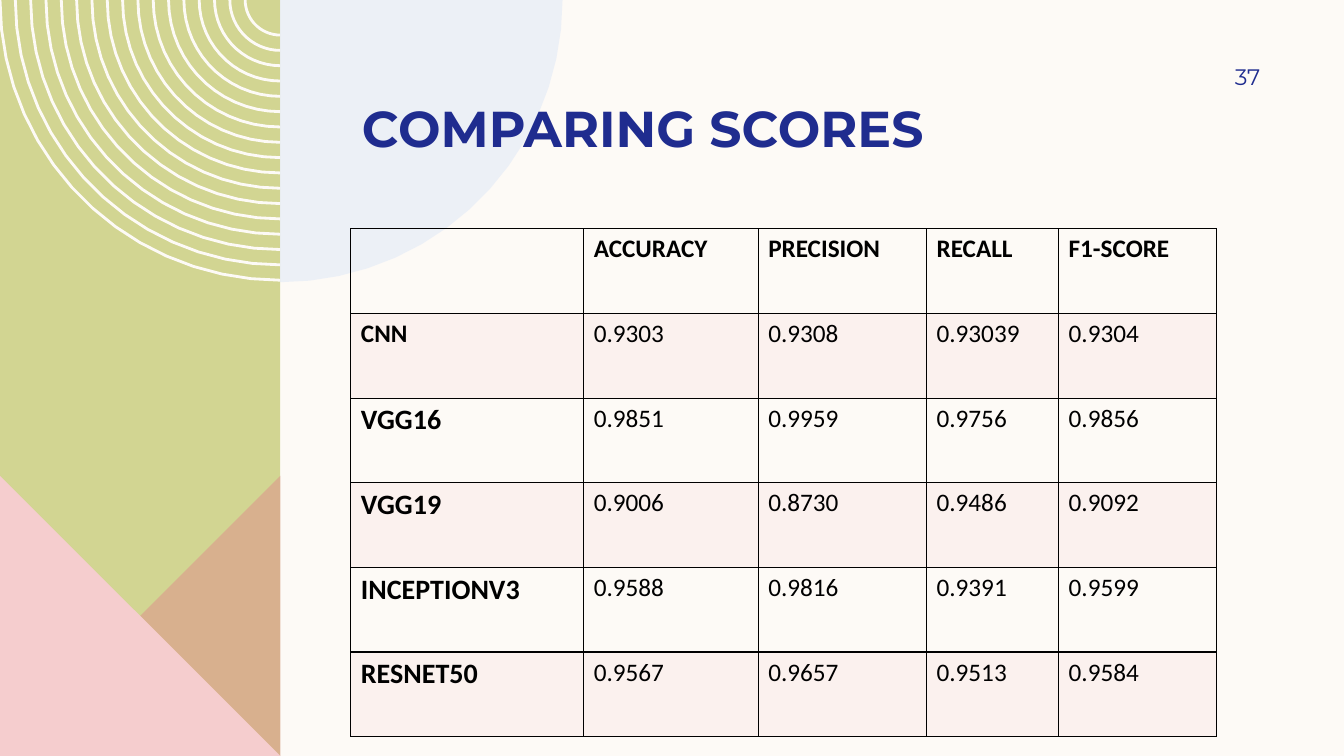
import math

from pptx import Presentation
from pptx.dml.color import RGBColor
from pptx.enum.shapes import MSO_SHAPE
from pptx.enum.text import MSO_ANCHOR, MSO_AUTO_SIZE, PP_ALIGN
from pptx.oxml import parse_xml
from pptx.oxml.ns import nsdecls, qn
from pptx.util import Pt

RECTANGLE = MSO_SHAPE.RECTANGLE
LEFT, RIGHT = PP_ALIGN.LEFT, PP_ALIGN.RIGHT
TOP, MIDDLE, BOTTOM = MSO_ANCHOR.TOP, MSO_ANCHOR.MIDDLE, MSO_ANCHOR.BOTTOM
NO_AUTOFIT = MSO_AUTO_SIZE.NONE

EMU_PER_PX = 9144
SLIDE_WIDTH, SLIDE_HEIGHT = 1333, 750
PANEL_WIDTH = 278
CREAM, GREEN, ROSE, PINK = "FDFAF6", "D2D592", "DE8C8C", "F5CDCE"
PALE_BLUE, NAVY, BLACK = "DDE7F6", "1F2C8F", "000000"

RING_COUNT = 17
RING_RADIUS = 278
RING_STEP = 15.2
ARC_STEP = 6

COLUMN_WIDTHS = [231, 173, 167, 131, 157]
ROW_HEIGHT = 84
SCORES = [
    ["", "ACCURACY", "PRECISION", "RECALL", "F1-SCORE"],
    ["CNN", "0.9303", "0.9308", "0.93039", "0.9304"],
    ["VGG16", "0.9851", "0.9959", "0.9756", "0.9856"],
    ["VGG19", "0.9006", "0.8730", "0.9486", "0.9092"],
    ["INCEPTIONV3", "0.9588", "0.9816", "0.9391", "0.9599"],
    ["RESNET50", "0.9567", "0.9657", "0.9513", "0.9584"],
]


def px(length):
    return round(length * EMU_PER_PX)


def color(value):
    return RGBColor.from_string(value)


def paint(fill, properties, value, opacity=100):
    fill.solid()
    fill.fore_color.rgb = color(value)
    if opacity < 100:
        tint = properties.find(qn("a:solidFill"))[0]
        tint.append(parse_xml(f'<a:alpha {nsdecls("a")} val="{opacity * 1000}"/>'))


def finish(shape, value, opacity=100):
    paint(shape.fill, shape._element.spPr, value, opacity)
    shape.line.fill.background()
    shape.shadow.inherit = False


def write(frame, text, font="Calibri", size=18, value=BLACK, bold=False, align=LEFT):
    paragraph = frame.paragraphs[0]
    paragraph.alignment = align
    run = paragraph.add_run()
    run.text = text
    run.font.name = font
    run.font.size = Pt(size)
    run.font.bold = bold
    run.font.color.rgb = color(value)


def set_frame(frame, anchor, left, top, right, bottom):
    frame.word_wrap = True
    frame.auto_size = NO_AUTOFIT
    frame.vertical_anchor = anchor
    frame.margin_left, frame.margin_top = px(left), px(top)
    frame.margin_right, frame.margin_bottom = px(right), px(bottom)


def place(shape, left, top, width, height):
    shape.left, shape.top = px(left), px(top)
    shape.width, shape.height = px(width), px(height)


def arc(radius, start, end):
    angles = [math.radians(degree) for degree in range(start, end + 1, ARC_STEP)]
    return [(PANEL_WIDTH + radius * math.cos(a), radius * math.sin(a)) for a in angles]


def add_outline(slide, contours, closed=True):
    scaled = [[(px(x), px(y)) for x, y in contour] for contour in contours]
    builder = slide.shapes.build_freeform(*scaled[0][0], scale=1.0)
    for index, contour in enumerate(scaled):
        if index:
            builder.move_to(*contour[0])
        builder.add_line_segments(contour[1:], close=closed)
    return builder.convert_to_shape()


def add_rings(slide):
    radii = [RING_RADIUS - RING_STEP * index for index in range(RING_COUNT)]
    rings = add_outline(slide, [arc(r, 90, 180) for r in radii], closed=False)
    rings.fill.background()
    rings.line.color.rgb = color(CREAM)
    rings.line.width = Pt(2)
    rings.shadow.inherit = False


def add_decoration(slide):
    panel = slide.shapes.add_shape(RECTANGLE, 0, 0, px(PANEL_WIDTH), px(SLIDE_HEIGHT))
    finish(panel, GREEN)
    add_rings(slide)

    top_left, top_right = (0, 472), (PANEL_WIDTH, 472)
    bottom_left, bottom_right = (0, SLIDE_HEIGHT), (PANEL_WIDTH, SLIDE_HEIGHT)
    finish(add_outline(slide, [[top_right, bottom_right, bottom_left]]), ROSE, 50)
    finish(add_outline(slide, [[top_left, bottom_right, bottom_left]]), PINK)
    quarter = [(PANEL_WIDTH, 0)] + arc(280, 0, 90)
    finish(add_outline(slide, [quarter]), PALE_BLUE, 50)


def add_title(slide, text):
    title = slide.shapes.title
    slide.shapes._spTree.append(title._element)
    place(title, 349, 47, 871, 109)
    set_frame(title.text_frame, BOTTOM, 10, 0, 10, 0)
    write(title.text_frame, text, font="Montserrat", size=36, value=NAVY, bold=True)


def add_borders(properties):
    for side in ("lnL", "lnR", "lnT", "lnB"):
        properties.append(parse_xml(
            f'<a:{side} {nsdecls("a")} w="12700"><a:solidFill>'
            f'<a:srgbClr val="{BLACK}"/></a:solidFill></a:{side}>'
        ))


def add_score_table(slide):
    frame = slide.shapes.add_table(
        len(SCORES), len(COLUMN_WIDTHS), px(348), px(227),
        px(sum(COLUMN_WIDTHS)), px(ROW_HEIGHT * len(SCORES)),
    )
    table = frame.table
    table.first_row = table.horz_banding = False
    for column, width in zip(table.columns, COLUMN_WIDTHS):
        column.width = px(width)
    for row_index, values in enumerate(SCORES):
        table.rows[row_index].height = px(ROW_HEIGHT)
        for column_index, text in enumerate(values):
            cell = table.cell(row_index, column_index)
            cell.vertical_anchor = TOP
            properties = cell._tc.get_or_add_tcPr()
            add_borders(properties)
            if row_index % 2:
                paint(cell.fill, properties, PINK, 20)
            else:
                cell.fill.background()
            if text:
                is_model = column_index == 0
                size = 20 if is_model and row_index > 1 else 18
                write(cell.text_frame, text, size=size, bold=is_model or row_index == 0)


def add_page_number(slide, number):
    page = slide.shapes.add_textbox(px(1133), px(50), px(117), px(52))
    set_frame(page.text_frame, MIDDLE, 10, 5, 0, 5)
    write(page.text_frame, number, font="Montserrat", size=16, value=NAVY, align=RIGHT)


def main():
    deck = Presentation()
    deck.slide_width, deck.slide_height = px(SLIDE_WIDTH), px(SLIDE_HEIGHT)
    slide = deck.slides.add_slide(deck.slide_layouts[5])
    slide.background.fill.solid()
    slide.background.fill.fore_color.rgb = color(CREAM)
    add_decoration(slide)
    add_title(slide, "COMPARING SCORES")
    add_score_table(slide)
    add_page_number(slide, "37")
    deck.save("out.pptx")


if __name__ == "__main__":
    main()
